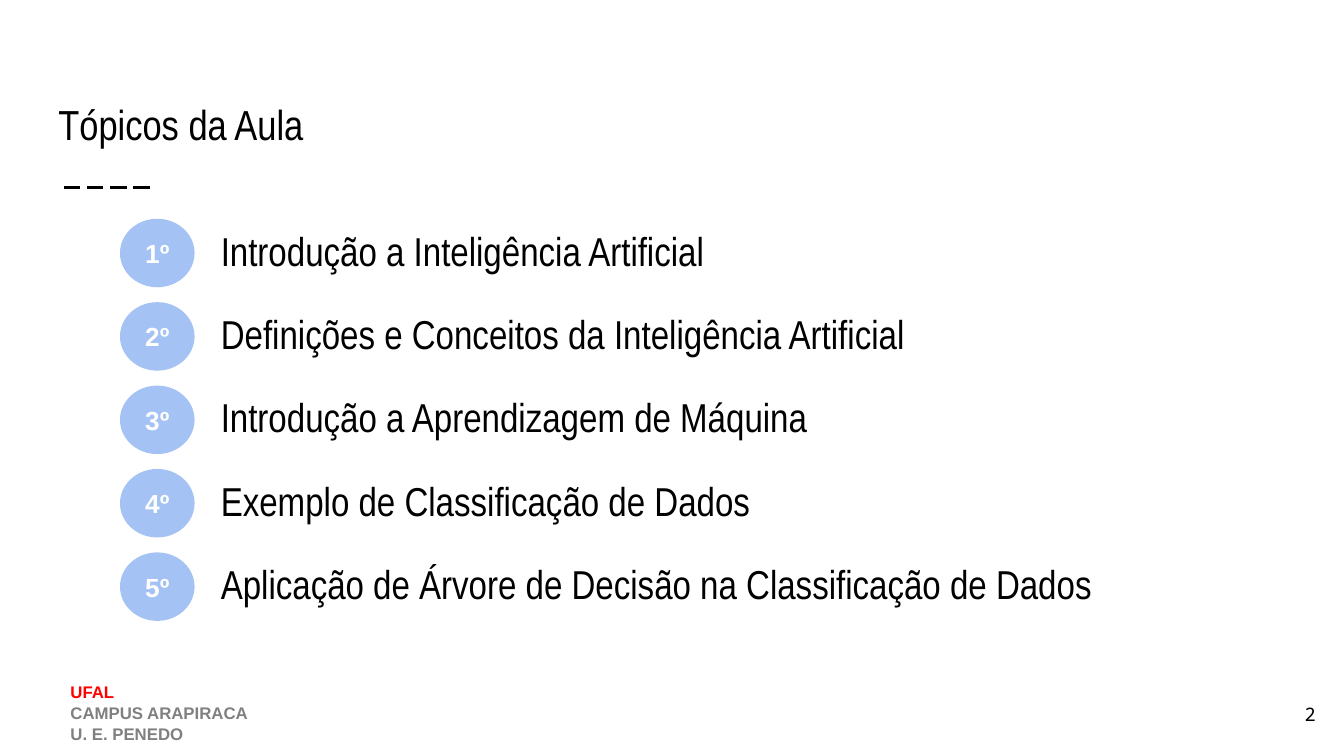
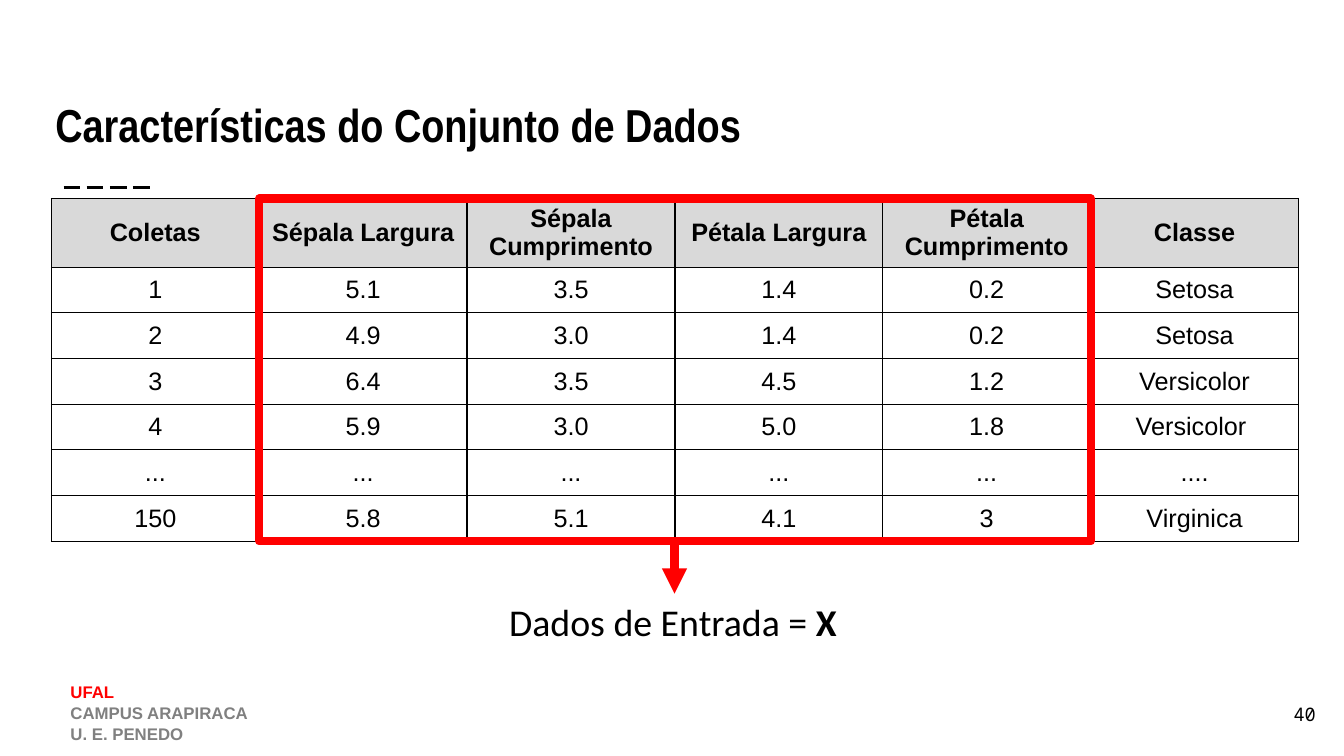
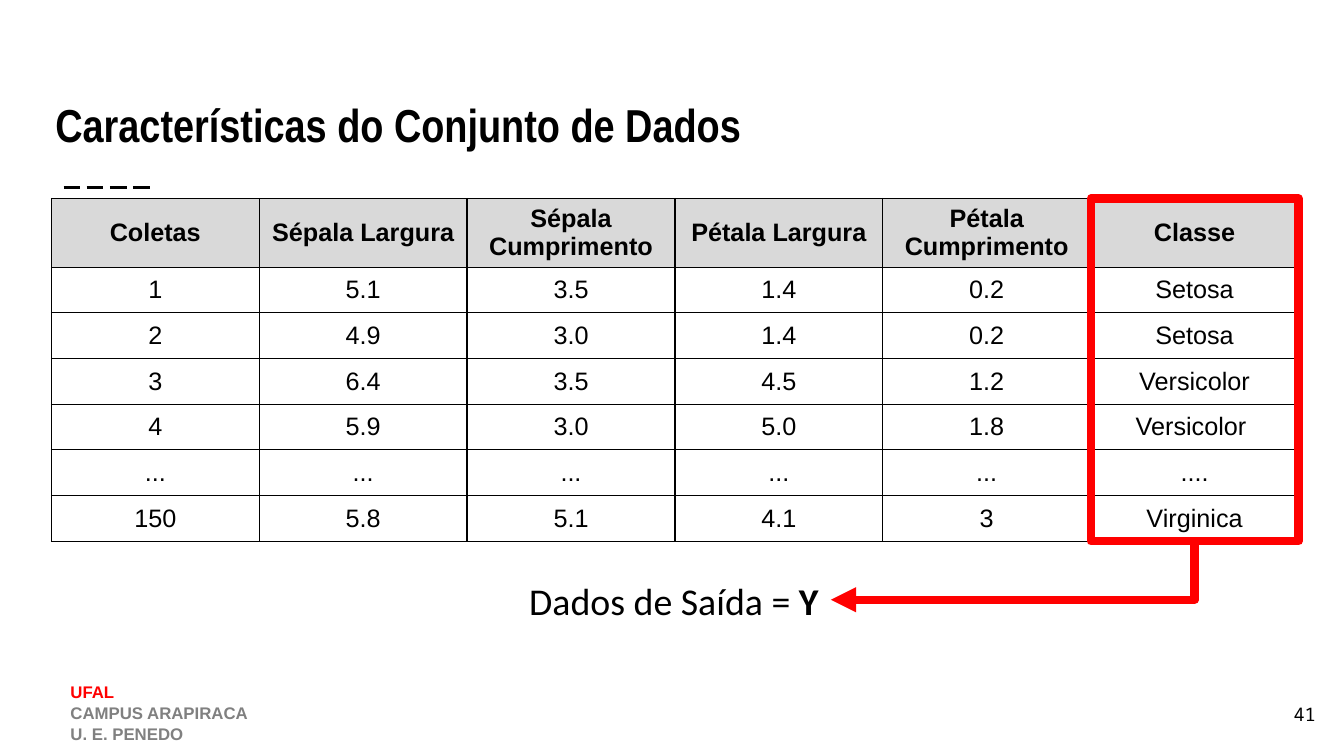
from dataclasses import dataclass

from pptx import Presentation
from pptx import util as u
from pptx.dml.color import RGBColor
from pptx.enum import dml, shapes, text
from pptx.oxml import xmlchemy
from lxml import etree
from pptx.oxml.ns import qn


@dataclass(frozen=True)
class Theme:
    black: RGBColor = RGBColor.from_string("000000")
    white: RGBColor = RGBColor.from_string("FFFFFF")
    red: RGBColor = RGBColor.from_string("FF0000")
    gray: RGBColor = RGBColor.from_string("808080")
    header: RGBColor = RGBColor.from_string("D9D9D9")
    badge: RGBColor = RGBColor.from_string("A4C2F4")
    narrow: str = "Arial Narrow"
    sans: str = "Arial"
    caption_font: str = "Calibri"
    mono: str = "Noto Sans Mono"
    topics_title: float = 30
    data_title: float = 33
    topic: float = 28.8
    badge_size: float = 18.7
    caption: float = 27
    cell: float = 18
    footer: float = 12
    number: float = 13.3
    highlight_width: float = 6


theme = Theme()
Inches, Pt = u.Inches, u.Pt
LEFT, CENTER, RIGHT = text.PP_ALIGN.LEFT, text.PP_ALIGN.CENTER, text.PP_ALIGN.RIGHT
TOP, MIDDLE, BOTTOM = text.MSO_ANCHOR.TOP, text.MSO_ANCHOR.MIDDLE, text.MSO_ANCHOR.BOTTOM

presentation = Presentation()
presentation.slide_width = Inches(13.33)
presentation.slide_height = Inches(7.5)


def write(frame, paragraphs, font, size, align=LEFT, anchor=TOP,
          margins=(0.1, 0.05), wrap=True, gap=0):
    """Fill a text frame; each paragraph is a list of (text, colour, bold) runs."""
    frame.word_wrap = wrap
    frame.vertical_anchor = anchor
    frame.margin_left = frame.margin_right = Inches(margins[0])
    frame.margin_top = frame.margin_bottom = Inches(margins[1])
    for index, runs in enumerate(paragraphs):
        paragraph = frame.add_paragraph() if index else frame.paragraphs[0]
        paragraph.alignment = align
        if index and gap:
            paragraph.space_before = Pt(gap)
        for content, color, bold in runs:
            run = paragraph.add_run()
            run.text = content
            run.font.name = font
            run.font.size = Pt(size)
            run.font.bold = bold
            run.font.color.rgb = color


def start_slide(title, title_size, bold, margin, number):
    """Add a slide with the shared title, dashed rule, footer and number."""
    slide = presentation.slides.add_slide(presentation.slide_layouts[6])

    rule = slide.shapes.add_connector(shapes.MSO_CONNECTOR.STRAIGHT, Inches(0.63),
                                      Inches(1.86), Inches(1.52), Inches(1.86))
    rule.line.color.rgb = theme.black
    rule.line.width = Pt(1.5)
    rule.line.dash_style = dml.MSO_LINE.LONG_DASH
    etree.SubElement(rule._element.spPr, qn("a:effectLst"))

    footer = slide.shapes.add_textbox(Inches(0.6), Inches(6.71), Inches(6.11), Inches(0.71))
    write(footer.text_frame,
          [[("UFAL", theme.red, True)],
           [("CAMPUS ARAPIRACA", theme.gray, True)],
           [("U. E. PENEDO", theme.gray, True)]],
          theme.sans, theme.footer, gap=0.9)

    heading = slide.shapes.add_textbox(Inches(0.45), Inches(0.54), Inches(12.42), Inches(1.07))
    write(heading.text_frame, [[(title, theme.black, bold)]], theme.narrow, title_size,
          anchor=BOTTOM, margins=(margin, margin))

    page = slide.shapes.add_textbox(Inches(12.35), Inches(6.8), Inches(0.8), Inches(0.57))
    write(page.text_frame, [[(number, theme.black, False)]], theme.mono, theme.number,
          align=RIGHT, anchor=MIDDLE, margins=(0.1, 0.1))
    return slide


# Topics slide
topics = [
    "Introdução a Inteligência Artificial",
    "Definições e Conceitos da Inteligência Artificial",
    "Introdução a Aprendizagem de Máquina",
    "Exemplo de Classificação de Dados",
    "Aplicação de Árvore de Decisão na Classificação de Dados",
]
slide = start_slide("Tópicos da Aula", theme.topics_title, False, 0.13, "2")
for index, topic in enumerate(topics):
    top = Inches(2.17 + index * 0.8275)
    badge = slide.shapes.add_shape(shapes.MSO_SHAPE.OVAL, Inches(1.19), top,
                                   Inches(0.74), Inches(0.68))
    badge.shadow.inherit = False
    badge.fill.solid()
    badge.fill.fore_color.rgb = theme.badge
    badge.line.fill.background()
    write(badge.text_frame, [[(f"{index + 1}º", theme.white, True)]], theme.sans,
          theme.badge_size, align=CENTER, anchor=MIDDLE, margins=(0.13, 0.13), wrap=False)
    label = slide.shapes.add_textbox(Inches(2.06), top, Inches(10.82), Inches(0.68))
    write(label.text_frame, [[(topic, theme.black, False)]], theme.narrow, theme.topic,
          anchor=BOTTOM, margins=(0.13, 0.13))

# Data set slides: the same table, with the input or the output columns framed
rows = [
    ["Coletas", "Sépala Largura", "Sépala Cumprimento", "Pétala Largura",
     "Pétala Cumprimento", "Classe"],
    ["1", "5.1", "3.5", "1.4", "0.2", "Setosa"],
    ["2", "4.9", "3.0", "1.4", "0.2", "Setosa"],
    ["3", "6.4", "3.5", "4.5", "1.2", "Versicolor"],
    ["4", "5.9", "3.0", "5.0", "1.8", "Versicolor "],
    ["...", "...", "...", "...", "...", "...."],
    ["150", "5.8", "5.1", "4.1", "3", "Virginica"],
]
table_left, table_top, table_width, table_height = 0.51, 1.97, 12.37, 3.4
table_bottom = table_top + table_height
header_height = 0.68
column_width = table_width / len(rows[0])
row_height = (table_height - header_height) / (len(rows) - 1)

# Number, first framed column, framed columns, caption, variable, caption box, arrow end
views = [
    ("40", 1, 4, "Dados de Entrada = ", "X", (4.95, 5.89, 3.49, 0.56), (6.69, 5.89)),
    ("41", 5, 1, "Dados de Saída = ", "Y", (5.15, 5.68, 3.1, 0.56), (8.24, 5.95)),
]
for number, first, count, caption, variable, caption_box, (end_x, end_y) in views:
    slide = start_slide("Características do Conjunto de Dados", theme.data_title, True,
                        0.1, number)

    # Table
    table = slide.shapes.add_table(len(rows), len(rows[0]), Inches(table_left),
                                   Inches(table_top), Inches(table_width),
                                   Inches(table_height)).table
    table.horz_banding = False
    for column in table.columns:
        column.width = Inches(column_width)
    for row_index, values in enumerate(rows):
        is_header = row_index == 0
        table.rows[row_index].height = Inches(header_height if is_header else row_height)
        for column_index, value in enumerate(values):
            cell = table.cell(row_index, column_index)
            write(cell.text_frame, [[(value, theme.black, is_header)]], theme.sans,
                  theme.cell, align=CENTER)
            cell.vertical_anchor = MIDDLE
            cell.margin_left = cell.margin_right = Inches(0.05)
            cell.margin_top = cell.margin_bottom = Inches(0.03)
            properties = cell._tc.get_or_add_tcPr()
            for side in ("a:lnL", "a:lnR", "a:lnT", "a:lnB"):
                border = etree.SubElement(properties, qn(side), w=str(Pt(1)))
                fill = etree.SubElement(border, qn("a:solidFill"))
                etree.SubElement(fill, qn("a:srgbClr"), val=str(theme.black))
            if is_header:
                cell.fill.solid()
                cell.fill.fore_color.rgb = theme.header
            else:
                cell.fill.background()

    # Frame around the chosen columns
    frame_left = table_left + first * column_width
    frame_width = count * column_width
    frame = slide.shapes.add_shape(shapes.MSO_SHAPE.RECTANGLE, Inches(frame_left),
                                   Inches(table_top), Inches(frame_width),
                                   Inches(table_height))
    frame.shadow.inherit = False
    frame.fill.background()
    frame.line.color.rgb = theme.red
    frame.line.width = Pt(theme.highlight_width)

    # Arrow from the frame to its caption
    start_x = frame_left + frame_width / 2
    drop, run_length = end_y - table_bottom, start_x - end_x
    if run_length < 0.1:
        arrow = slide.shapes.add_connector(
            shapes.MSO_CONNECTOR.STRAIGHT, Inches(end_x), Inches(table_bottom),
            Inches(end_x), Inches(end_y))
    else:
        # A one-bend connector, laid out sideways and turned by 90 degrees
        middle_x, middle_y = (start_x + end_x) / 2, (table_bottom + end_y) / 2
        arrow = slide.shapes.add_connector(
            shapes.MSO_CONNECTOR.ELBOW,
            Inches(middle_x - drop / 2), Inches(middle_y - run_length / 2),
            Inches(middle_x + drop / 2), Inches(middle_y + run_length / 2))
        arrow._element.spPr.find(qn("a:prstGeom")).set("prst", "bentConnector2")
        arrow._element.spPr.find(qn("a:xfrm")).set("rot", "5400000")
    arrow.line.color.rgb = theme.red
    arrow.line.width = Pt(theme.highlight_width)
    etree.SubElement(arrow.line._get_or_add_ln(), qn("a:tailEnd"), type="triangle")
    etree.SubElement(arrow._element.spPr, qn("a:effectLst"))

    # Caption
    label = slide.shapes.add_textbox(*(Inches(length) for length in caption_box))
    write(label.text_frame,
          [[(caption, theme.black, False), (variable, theme.black, True)]],
          theme.caption_font, theme.caption, wrap=False)

presentation.save("out.pptx")
